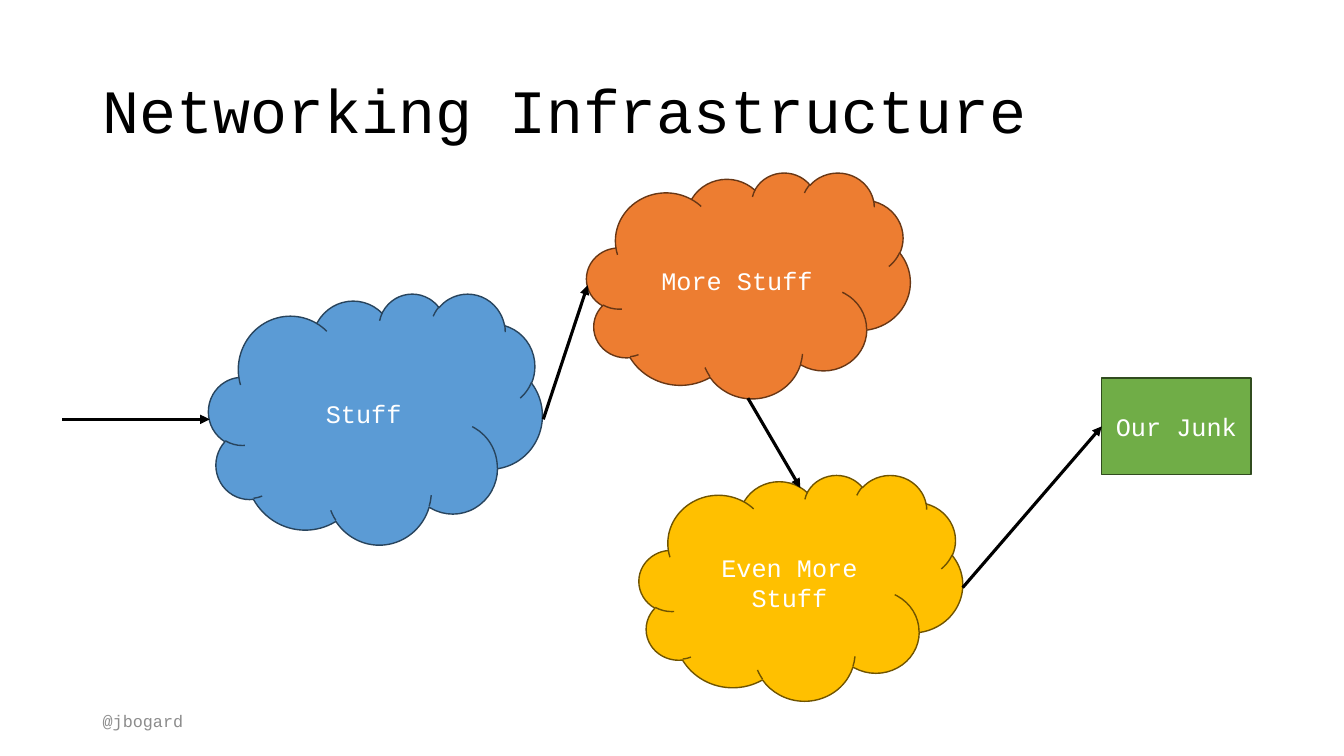
import pptx
import pptx.dml.color
import pptx.enum.shapes
import pptx.enum.text
import pptx.oxml.ns
import pptx.util
from lxml import etree

Pt = pptx.util.Pt
RGBColor = pptx.dml.color.RGBColor
Shape = pptx.enum.shapes.MSO_SHAPE
Align = pptx.enum.text.PP_ALIGN
qn = pptx.oxml.ns.qn

BLACK = RGBColor(0x00, 0x00, 0x00)
WHITE = RGBColor(0xFF, 0xFF, 0xFF)
GRAY = RGBColor(0x8C, 0x8C, 0x8C)
BLUE = RGBColor(0x5B, 0x9B, 0xD5)
DARK_BLUE = RGBColor(0x28, 0x44, 0x5D)
ORANGE = RGBColor(0xED, 0x7D, 0x31)
DARK_ORANGE = RGBColor(0x68, 0x37, 0x15)
GOLD = RGBColor(0xFF, 0xC0, 0x00)
DARK_GOLD = RGBColor(0x70, 0x54, 0x00)
GREEN = RGBColor(0x70, 0xAD, 0x47)
DARK_GREEN = RGBColor(0x31, 0x4C, 0x1F)


class SlideBuilder:
    font_name = "Courier New"
    node_size = 18
    node_line = 1
    arrow_width = 2.25

    def __init__(self, slide):
        self.slide = slide

    def set_text(self, shape, text, size, color, alignment, line_spacing=1.0):
        frame = shape.text_frame
        frame.word_wrap = True
        frame.vertical_anchor = pptx.enum.text.MSO_ANCHOR.MIDDLE
        paragraph = frame.paragraphs[0]
        paragraph.text = text
        paragraph.alignment = alignment
        paragraph.line_spacing = line_spacing
        paragraph.font.name = self.font_name
        paragraph.font.size = Pt(size)
        paragraph.font.color.rgb = color

    def text(self, box, text, size, color, line_spacing=1.0):
        shape = self.slide.shapes.add_textbox(*map(Pt, box))
        self.set_text(shape, text, size, color, Align.LEFT, line_spacing)

    def node(self, kind, box, text, fill, outline):
        shape = self.slide.shapes.add_shape(kind, *map(Pt, box))
        shape.shadow.inherit = False
        shape.fill.solid()
        shape.fill.fore_color.rgb = fill
        shape.line.color.rgb = outline
        shape.line.width = Pt(self.node_line)
        self.set_text(shape, text, self.node_size, WHITE, Align.CENTER)

    def arrow(self, start, end):
        connector = self.slide.shapes.add_connector(
            pptx.enum.shapes.MSO_CONNECTOR.STRAIGHT, *map(Pt, start + end)
        )
        connector.line.color.rgb = BLACK
        connector.line.width = Pt(self.arrow_width)
        properties = connector.element.spPr
        etree.SubElement(properties.find(qn("a:ln")), qn("a:tailEnd"), type="triangle")
        etree.SubElement(properties, qn("a:effectLst"))


def main():
    presentation = pptx.Presentation()
    presentation.slide_width = Pt(960)
    presentation.slide_height = Pt(540)
    slide = presentation.slides.add_slide(presentation.slide_layouts[6])
    builder = SlideBuilder(slide)

    builder.text((66.24, 28.8, 828, 104.4), "Networking Infrastructure", 44, BLACK, 0.9)
    builder.text((66.24, 500.4, 216, 28.8), "@jbogard", 12, GRAY)

    nodes = [
        (Shape.CLOUD, (149.04, 209.52, 238.32, 179.28), "Stuff", BLUE, DARK_BLUE),
        (Shape.CLOUD, (419.04, 123.12, 231.12, 161.28), "More Stuff", ORANGE, DARK_ORANGE),
        (Shape.CLOUD, (456.48, 339.12, 231.12, 161.28), "Even More Stuff", GOLD, DARK_GOLD),
        (Shape.RECTANGLE, (786.96, 270, 106.56, 69.12), "Our Junk", GREEN, DARK_GREEN),
    ]
    for node in nodes:
        builder.node(*node)

    arrows = [
        ((44.64, 299.52), (149.76, 299.52)),
        ((388.08, 299.52), (419.76, 203.76)),
        ((534.24, 284.4), (571.68, 348.48)),
        ((687.6, 419.76), (786.96, 304.56)),
    ]
    for start, end in arrows:
        builder.arrow(start, end)

    presentation.save("out.pptx")


if __name__ == "__main__":
    main()
